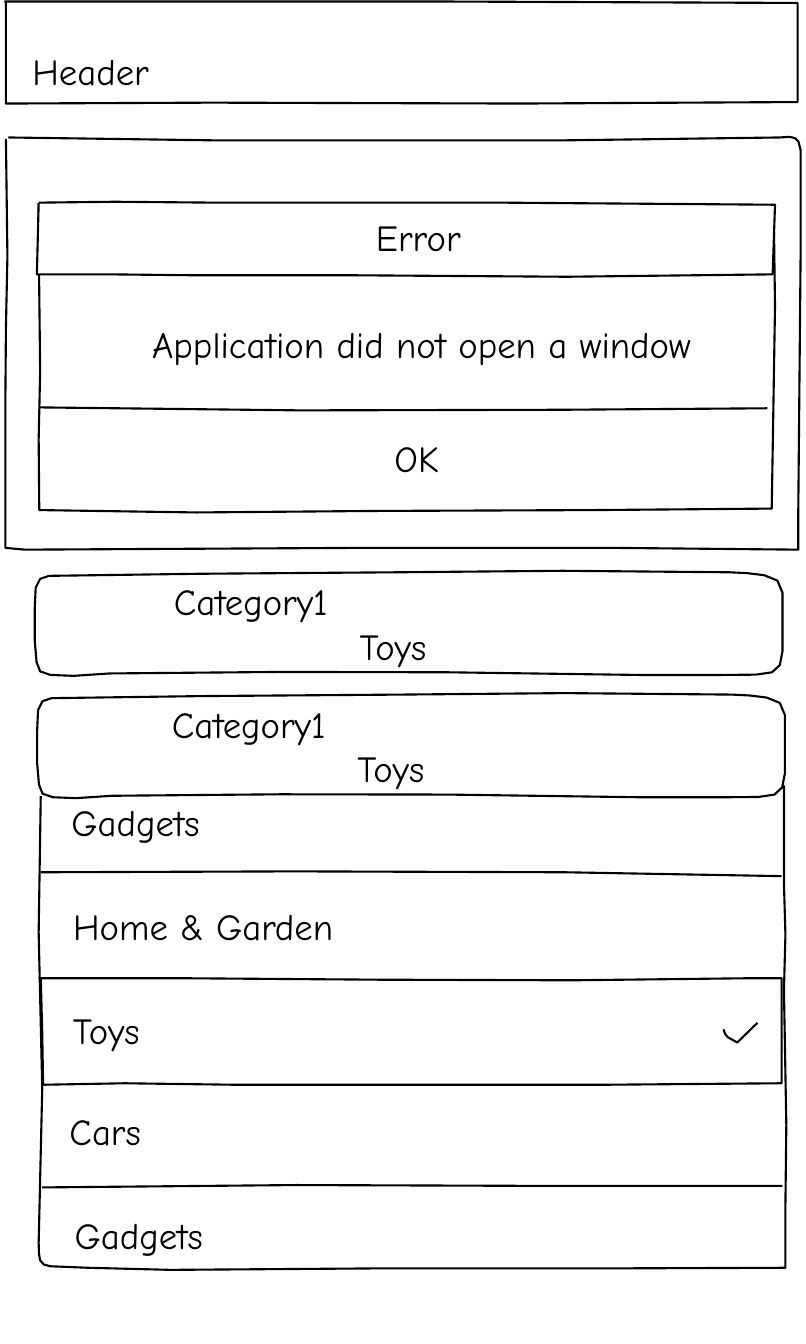
from typing import NamedTuple

import pptx
import pptx.dml.color
import pptx.enum.text
import pptx.util

Cm = pptx.util.Cm
Pt = pptx.util.Pt
BLACK = pptx.dml.color.RGBColor(0x00, 0x00, 0x00)
WHITE = pptx.dml.color.RGBColor(0xFF, 0xFF, 0xFF)
FONT = "Comic Neue"
HEIGHT = 1.47  # label height in cm
STEP = 4.11  # from the closed category box to the open one

Points = list[tuple[float, float]]


class Sketch(NamedTuple):
    """A hand-drawn stroke, in cm."""
    points: Points
    filled: bool = True


class Label(NamedTuple):
    """A centred caption, in cm."""
    text: str
    left: float
    top: float
    width: float


LIST: Points = [
    (1.37, 26.75), (1.3, 31.34), (1.42, 36.58), (1.3, 41.76), (1.31, 42.13),
    (1.35, 42.35), (1.47, 42.49), (1.7, 42.55), (2.97, 42.6), (5.74, 42.67),
    (12.75, 42.62), (20.57, 42.62), (26.39, 42.6), (26.39, 40.44),
    (26.42, 37.8), (26.34, 33.27), (26.39, 31.42), (26.34, 29.67),
    (26.34, 26.39)]
CHOSEN: Points = [
    (1.3, 32.87), (6.02, 32.87), (12.7, 32.92), (19.23, 32.94), (25.25, 32.87),
    (26.26, 32.87), (26.26, 36.4), (20.29, 36.45), (14.33, 36.45), (7.9, 36.45),
    (4.19, 36.4), (1.45, 36.45), (1.42, 34.7), (1.37, 32.84)]
HEADER: Points = [
    (0.15, 0.05), (14.45, 0.05), (26.8, 0.1), (26.8, 3.43), (17.48, 3.48),
    (7.11, 3.45), (0.2, 3.48), (0.2, 0.1)]
PANEL: Points = [
    (0.28, 4.62), (7.42, 4.72), (18.72, 4.72), (26.19, 4.62), (26.53, 4.6),
    (26.71, 4.64), (26.83, 4.76), (26.9, 5.05), (26.9, 8.53), (26.82, 17.35),
    (26.82, 18.47), (20.6, 18.41), (12.09, 18.41), (0.84, 18.47), (0.18, 18.41),
    (0.18, 13.61), (0.2, 11.02), (0.25, 8.61), (0.2, 4.67)]
DIALOG: Points = [
    (1.35, 6.83), (5.99, 6.88), (10.54, 6.91), (20.32, 6.88), (25.98, 6.91),
    (26.01, 8.03), (26.04, 10.29), (25.93, 17.09), (19.96, 17.14),
    (12.52, 17.17), (6.6, 17.22), (1.32, 17.14), (1.3, 14.76), (1.35, 12.47),
    (1.3, 8.05), (1.3, 6.83)]
TITLE: Points = [
    (1.3, 6.81), (3.86, 6.78), (7.21, 6.81), (16.84, 6.81), (26.04, 6.88),
    (25.96, 9.22), (19.05, 9.3), (11.79, 9.25), (6.5, 9.25), (3.71, 9.22),
    (1.24, 9.22), (1.3, 6.83)]
BOX: Points = [
    (1.65, 19.35), (6.73, 19.28), (13.39, 19.23), (18.9, 19.18), (24.51, 19.23),
    (25.11, 19.26), (25.68, 19.33), (26.12, 19.51), (26.29, 19.91),
    (26.29, 21.89), (26.2, 22.35), (25.94, 22.59), (25.4, 22.67),
    (24.26, 22.68), (21.46, 22.68), (15, 22.59), (9.37, 22.58), (3.68, 22.63),
    (2.48, 22.71), (1.7, 22.68), (1.35, 22.56), (1.23, 22.25), (1.17, 21.55),
    (1.17, 20.4), (1.2, 19.75), (1.35, 19.45), (1.65, 19.35)]
BUTTON: Points = [(1.35, 13.69), (10.08, 13.79), (18.8, 13.77), (25.78, 13.72)]
UPPER: Points = [(1.37, 29.31), (9.9, 29.28), (18.97, 29.31), (26.26, 29.44)]
LOWER: Points = [(1.42, 39.9), (9.96, 39.82), (18.62, 39.85), (26.29, 39.85)]
CHECK: Points = [
    (24.31, 34.59), (24.36, 34.74), (24.45, 34.85), (24.77, 35.03),
    (25.45, 34.37)]

SKETCHES = [
    Sketch(LIST),
    Sketch(CHOSEN),
    Sketch(HEADER),
    Sketch(PANEL),
    Sketch(DIALOG),
    Sketch(BUTTON, False),
    Sketch(TITLE),
    Sketch(BOX),
    Sketch([(x + 0.08, y + STEP) for x, y in BOX]),
    Sketch(UPPER, False),
    Sketch(LOWER, False),
    Sketch(CHECK, False),
]

LABELS = [
    Label("Header", 0.91, 1.63, 4.27),
    Label("Error", 12.57, 7.21, 2.97),
    Label("Application did not open a window", 4.11, 10.83, 20.12),
    Label("OK", 13.13, 14.66, 1.73),
    Label("Category1", 5.63, 19.46, 5.6),
    Label("Toys", 11.87, 20.95, 2.67),
    Label("Category1", 5.56, 19.46 + STEP, 5.6),
    Label("Toys", 11.8, 20.95 + STEP, 2.67),
    Label("Gadgets", 2.13, 26.87, 4.85),
    Label("Home & Garden", 2.13, 30.38, 9.4),
    Label("Toys", 2.24, 33.86, 2.67),
    Label("Cars", 2.24, 37.27, 2.59),
    Label("Gadgets", 2.24, 40.74, 4.85),
]


def draw(slide: pptx.slide.Slide, sketch: Sketch) -> None:
    start, *rest = [(Cm(x), Cm(y)) for x, y in sketch.points]
    pen = slide.shapes.build_freeform(*start)
    pen.add_line_segments(rest, close=False)
    shape = pen.convert_to_shape()
    shape.shadow.inherit = False
    if sketch.filled:
        shape.fill.solid()
        shape.fill.fore_color.rgb = WHITE
    else:
        shape.fill.background()
    shape.line.color.rgb = BLACK
    shape.line.width = Pt(2)


def write(slide: pptx.slide.Slide, label: Label) -> None:
    box = slide.shapes.add_textbox(
        Cm(label.left), Cm(label.top), Cm(label.width), Cm(HEIGHT))
    frame = box.text_frame
    frame.margin_left = frame.margin_right = 0
    frame.margin_top = frame.margin_bottom = 0
    frame.word_wrap = False
    frame.vertical_anchor = pptx.enum.text.MSO_ANCHOR.MIDDLE
    frame.text = label.text
    line = frame.paragraphs[0]
    line.alignment = pptx.enum.text.PP_ALIGN.CENTER
    font = line.runs[0].font
    font.name = FONT
    font.size = Pt(35)
    font.color.rgb = BLACK


def main() -> None:
    deck = pptx.Presentation()
    deck.slide_width = Cm(27.08)
    deck.slide_height = Cm(45.16)
    slide = deck.slides.add_slide(deck.slide_layouts[6])
    for sketch in SKETCHES:
        draw(slide, sketch)
    for label in LABELS:
        write(slide, label)
    deck.save("out.pptx")


if __name__ == "__main__":
    main()
